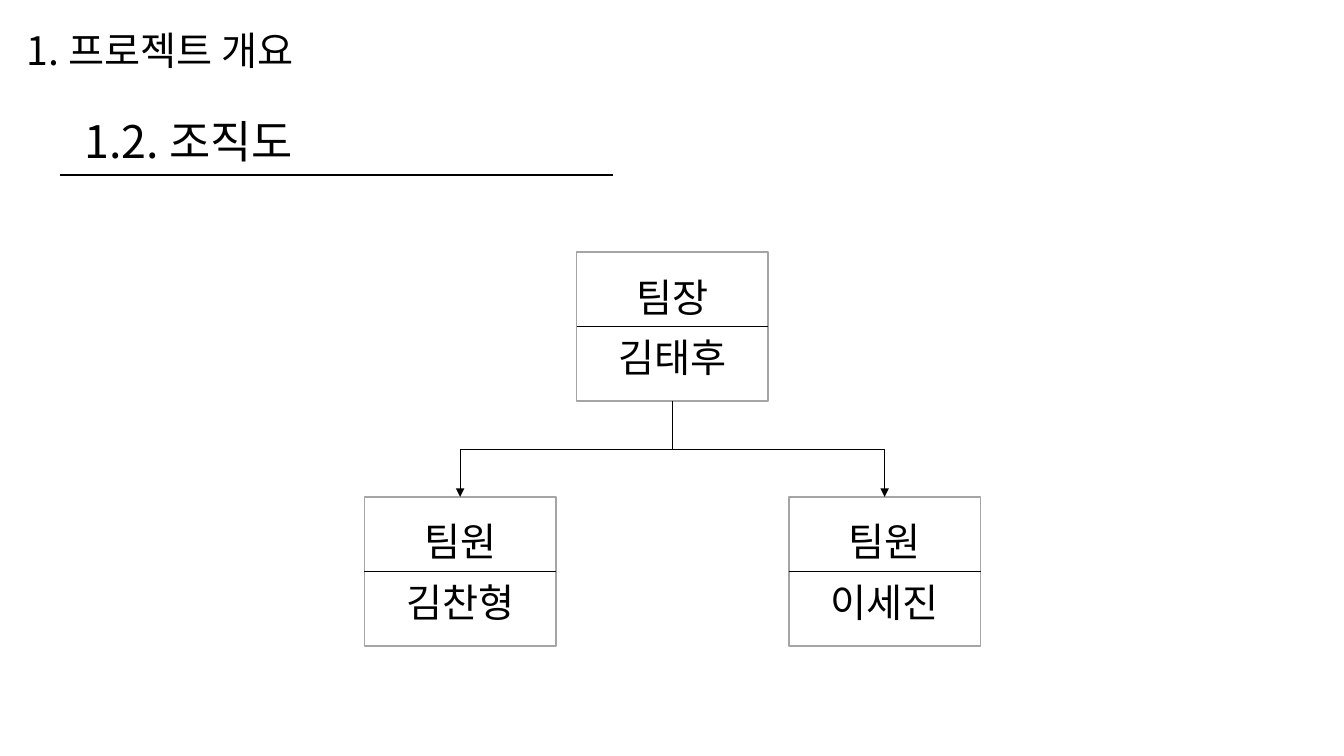
from lxml.etree import SubElement
from pptx import Presentation
from pptx.dml.color import RGBColor
from pptx.enum.shapes import MSO_CONNECTOR, MSO_SHAPE
from pptx.enum.text import MSO_ANCHOR, PP_ALIGN
from pptx.oxml.ns import qn
from pptx.util import Cm, Pt

COLORS = {"text": "000000", "line": "000000", "card": "FFFFFF", "border": "A5A5A5"}
FONT = "Noto Sans CJK KR"
CARD_W, CARD_H = 4.83, 3.76


def rgb(name):
    """Return the named palette colour."""
    return RGBColor.from_string(COLORS[name])


def add_run(p, text, size):
    """Append a styled run to a paragraph."""
    r = p.add_run()
    r.text = text
    r.font.size = Pt(size)
    r.font.name = FONT
    r.font.color.rgb = rgb("text")
    SubElement(r.font._element, qn("a:ea")).set("typeface", FONT)


def add_heading(s, box, text, size, anchor, spacing=1.0):
    """Place a one-line heading in the given box."""
    tf = s.shapes.add_textbox(*map(Cm, box)).text_frame
    tf.word_wrap = True
    tf.vertical_anchor = anchor
    p = tf.paragraphs[0]
    p.line_spacing = spacing
    add_run(p, text, size)


def add_line(s, kind, x1, y1, x2, y2, width):
    """Draw a connector without a shadow."""
    c = s.shapes.add_connector(kind, Cm(x1), Cm(y1), Cm(x2), Cm(y2))
    c.line.color.rgb = rgb("line")
    c.line.width = Pt(width)
    SubElement(c._element.spPr, qn("a:effectLst"))
    return c


def add_card(s, left, top, role, name):
    """Draw a role card split by a divider and return its rectangle."""
    sp = s.shapes.add_shape(MSO_SHAPE.RECTANGLE, Cm(left), Cm(top), Cm(CARD_W), Cm(CARD_H))
    sp.shadow.inherit = False
    sp.fill.solid()
    sp.fill.fore_color.rgb = rgb("card")
    sp.line.color.rgb = rgb("border")
    sp.line.width = Pt(1)
    tf = sp.text_frame
    tf.word_wrap = True
    tf.vertical_anchor = MSO_ANCHOR.MIDDLE
    for i, text in enumerate((role, name)):
        p = tf.add_paragraph() if i else tf.paragraphs[0]
        p.alignment = PP_ALIGN.CENTER
        if i:
            p.space_before = Pt(9.5)
        add_run(p, text, 28)
    middle = top + CARD_H / 2
    divider = add_line(s, MSO_CONNECTOR.STRAIGHT, left, middle, left + CARD_W, middle, 0.5)
    divider.begin_connect(sp, 1)
    divider.end_connect(sp, 3)
    return sp


def add_branch(s, lead, member):
    """Run a bent arrow from the lead's bottom to the member's top."""
    c = add_line(s, MSO_CONNECTOR.ELBOW, 0, 0, 1, 1, 0.5)
    c.begin_connect(lead, 2)
    c.end_connect(member, 0)
    x1, y1 = lead.left + lead.width // 2, lead.top + lead.height
    x2, y2 = member.left + member.width // 2, member.top
    run, drop = abs(x2 - x1), y2 - y1
    c.left, c.top = (x1 + x2 - drop) // 2, (y1 + y2 - run) // 2
    c.width, c.height = drop, run
    xfrm = c._element.spPr.find(qn("a:xfrm"))
    to_right = x2 > x1
    xfrm.set("rot", str((270 if to_right else 90) * 60000))
    xfrm.set("flipH", "1" if to_right else "0")
    xfrm.set("flipV", "0")
    SubElement(c.line._get_or_add_ln(), qn("a:tailEnd")).set("type", "triangle")


def add_header(s, left, top, width):
    """Place the chapter title, section title and underline."""
    add_heading(s, (left, top, width, 2.18), "1. 프로젝트 개요", 28, MSO_ANCHOR.MIDDLE, 0.9)
    add_heading(s, (left + 1.45, top + 2.51, 10.19, 1.63), "1.2. 조직도", 32, MSO_ANCHOR.TOP)
    rule = top + 4.19
    add_line(s, MSO_CONNECTOR.STRAIGHT, left + 1.09, rule, left + 15.01, rule, 1.5)


def add_org_chart(s, left, top, width, height):
    """Place the lead above members spread evenly across the box."""
    members = ["김찬형", "이세진"]
    lead = add_card(s, left + (width - CARD_W) / 2, top, "팀장", "김태후")
    pitch = (width - CARD_W) / (len(members) - 1)
    for i, name in enumerate(members):
        member = add_card(s, left + i * pitch, top + height - CARD_H, "팀원", name)
        add_branch(s, lead, member)


def main():
    """Build and save the slide."""
    prs = Presentation()
    prs.slide_width, prs.slide_height = Cm(33.87), Cm(19.05)
    s = prs.slides.add_slide(prs.slide_layouts[6])
    add_header(s, 0.43, 0.23, 29.21)
    add_org_chart(s, 9.18, 6.35, 15.53, 9.93)
    prs.save("out.pptx")


if __name__ == "__main__":
    main()
